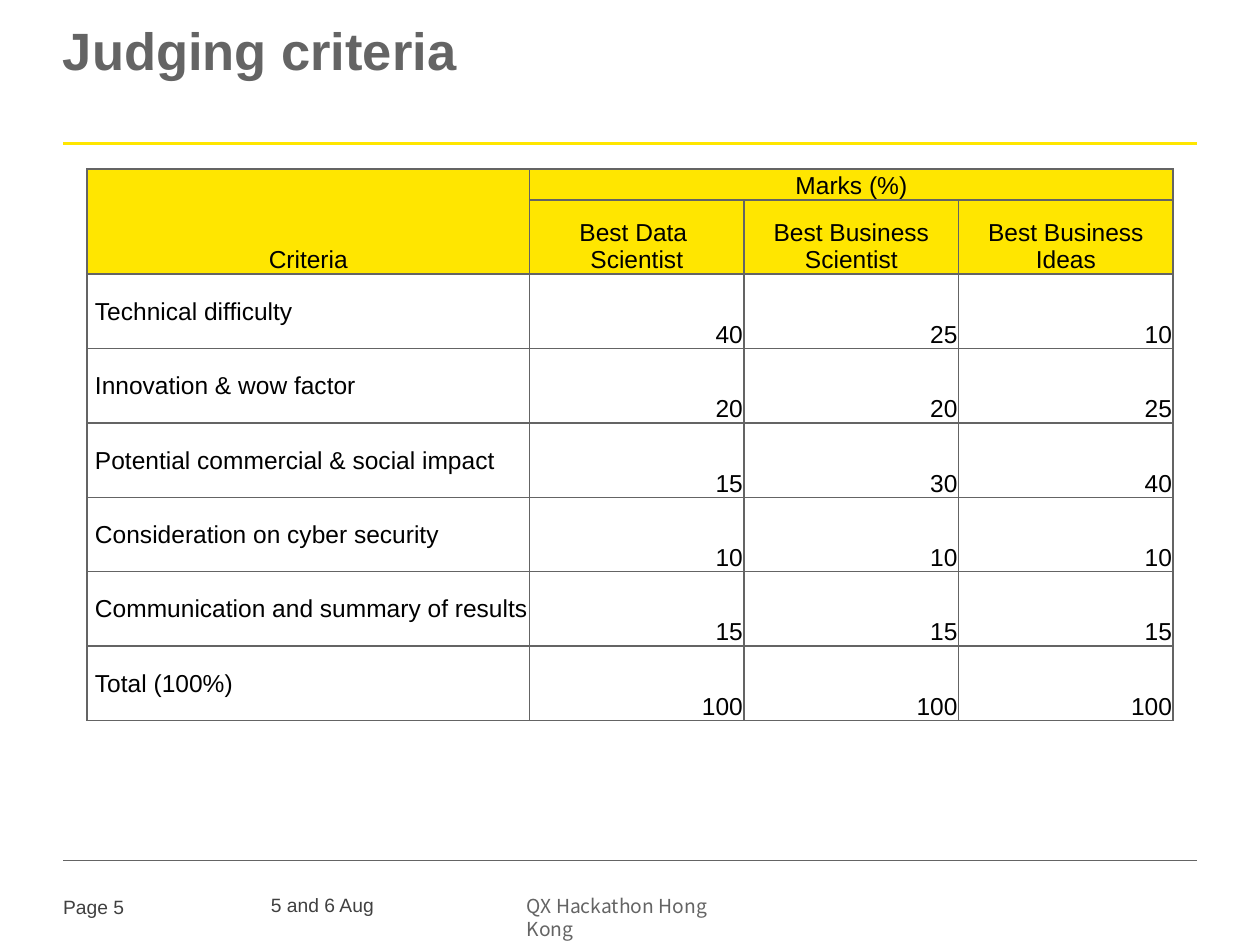
from lxml.etree import SubElement
from pptx import Presentation
from pptx.dml.color import RGBColor
from pptx.enum.shapes import MSO_CONNECTOR
from pptx.enum.text import MSO_ANCHOR, PP_ALIGN
from pptx.oxml.ns import qn
from pptx.util import Pt

YELLOW = RGBColor(0xFF, 0xE6, 0x00)
GRAY = RGBColor(0x64, 0x64, 0x64)
DARK_GRAY = RGBColor(0x40, 0x40, 0x40)
BLACK = RGBColor(0x00, 0x00, 0x00)

LEFT, RIGHT = 36, 684
COLUMN_WIDTHS = [252.8, 122.6, 122.6, 122.6]
TOP_ROW_HEIGHT, ROW_HEIGHT = 16, 42.5

HEADINGS = ["Best Data \nScientist", "Best Business Scientist", "Best Business Ideas"]
CRITERIA = [
    ("Technical difficulty", 40, 25, 10),
    ("Innovation & wow factor", 20, 20, 25),
    ("Potential commercial & social impact", 15, 30, 40),
    ("Consideration on cyber security", 10, 10, 10),
    ("Communication and summary of results", 15, 15, 15),
    ("Total (100%)", 100, 100, 100),
]


class SlideBuilder:
    def __init__(self, slide, font="Arial"):
        self.slide = slide
        self.font = font

    def format_text(self, text_frame, size, color, bold=False, font=None,
                    align=PP_ALIGN.LEFT, spacing=None):
        for paragraph in text_frame.paragraphs:
            paragraph.alignment = align
            if spacing:
                paragraph.line_spacing = spacing
            for run in paragraph.runs:
                run.font.name = font or self.font
                run.font.size = Pt(size)
                run.font.bold = bold
                run.font.color.rgb = color

    def add_text(self, text, left, top, width, height, size, color, **style):
        shape = self.slide.shapes.add_textbox(Pt(left), Pt(top), Pt(width), Pt(height))
        text_frame = shape.text_frame
        text_frame.word_wrap = True
        text_frame.margin_left = text_frame.margin_right = 0
        text_frame.margin_top = text_frame.margin_bottom = 0
        text_frame.text = text
        self.format_text(text_frame, size, color, **style)

    def add_rule(self, top, color, width):
        line = self.slide.shapes.add_connector(
            MSO_CONNECTOR.STRAIGHT, Pt(LEFT), Pt(top), Pt(RIGHT), Pt(top))
        line.line.color.rgb = color
        line.line.width = Pt(width)
        SubElement(line._element.spPr, qn("a:effectLst"))

    def add_table(self, left, top, widths, heights):
        table = self.slide.shapes.add_table(
            len(heights), len(widths), Pt(left), Pt(top),
            Pt(sum(widths)), Pt(sum(heights))).table
        table.first_row = table.horz_banding = False
        for column, width in zip(table.columns, widths):
            column.width = Pt(width)
        for row, height in zip(table.rows, heights):
            row.height = Pt(height)
        for cell in table.iter_cells():
            self.add_borders(cell)
        return table

    def add_borders(self, cell):
        properties = cell._tc.get_or_add_tcPr()
        for side in ("a:lnL", "a:lnR", "a:lnT", "a:lnB"):
            border = SubElement(properties, qn(side), w=str(Pt(1)))
            fill = SubElement(border, qn("a:solidFill"))
            SubElement(fill, qn("a:srgbClr"), val=str(GRAY))

    def fill_cell(self, cell, text, align, anchor=MSO_ANCHOR.BOTTOM, indent=0.7, fill=None):
        cell.text_frame.text = text
        cell.vertical_anchor = anchor
        cell.margin_left = Pt(indent)
        cell.margin_right = cell.margin_top = Pt(0.7)
        cell.margin_bottom = 0
        if fill is None:
            cell.fill.background()
        else:
            cell.fill.solid()
            cell.fill.fore_color.rgb = fill
        self.format_text(cell.text_frame, 14, BLACK, align=align)


def main():
    presentation = Presentation()
    presentation.slide_width, presentation.slide_height = Pt(720), Pt(540)
    builder = SlideBuilder(presentation.slides.add_slide(presentation.slide_layouts[6]))

    # Title and rules
    builder.add_rule(82, YELLOW, 1.5)
    builder.add_rule(491.5, GRAY, 0.25)
    builder.add_text("Judging criteria", LEFT, 16, RIGHT - LEFT, 67, 30, GRAY,
                     bold=True, spacing=0.85)

    # Footer
    builder.add_text("Page 5", LEFT, 511.5, 57, 16, 11, DARK_GRAY)
    builder.add_text("5 and 6 Aug", 154.8, 510.5, 86, 16, 11, DARK_GRAY)
    builder.add_text("QX Hackathon Hong Kong", 301, 511, 126, 19.5, 11, GRAY,
                     font="Noto Sans CJK SC")

    # Table header
    heights = [TOP_ROW_HEIGHT] + [ROW_HEIGHT] * (len(CRITERIA) + 1)
    table = builder.add_table(49.8, 96.7, COLUMN_WIDTHS, heights)
    table.cell(0, 0).merge(table.cell(1, 0))
    table.cell(0, 1).merge(table.cell(0, 3))
    builder.fill_cell(table.cell(0, 0), "Criteria", PP_ALIGN.CENTER, fill=YELLOW)
    builder.fill_cell(table.cell(0, 1), "Marks (%)", PP_ALIGN.CENTER, fill=YELLOW)
    for column, heading in enumerate(HEADINGS, 1):
        builder.fill_cell(table.cell(1, column), heading, PP_ALIGN.CENTER, fill=YELLOW)

    # Criteria and marks
    for row, (name, *marks) in enumerate(CRITERIA, 2):
        builder.fill_cell(table.cell(row, 0), name, PP_ALIGN.LEFT,
                          anchor=MSO_ANCHOR.MIDDLE, indent=4.5)
        for column, mark in enumerate(marks, 1):
            builder.fill_cell(table.cell(row, column), str(mark), PP_ALIGN.RIGHT)

    presentation.save("out.pptx")


if __name__ == "__main__":
    main()
